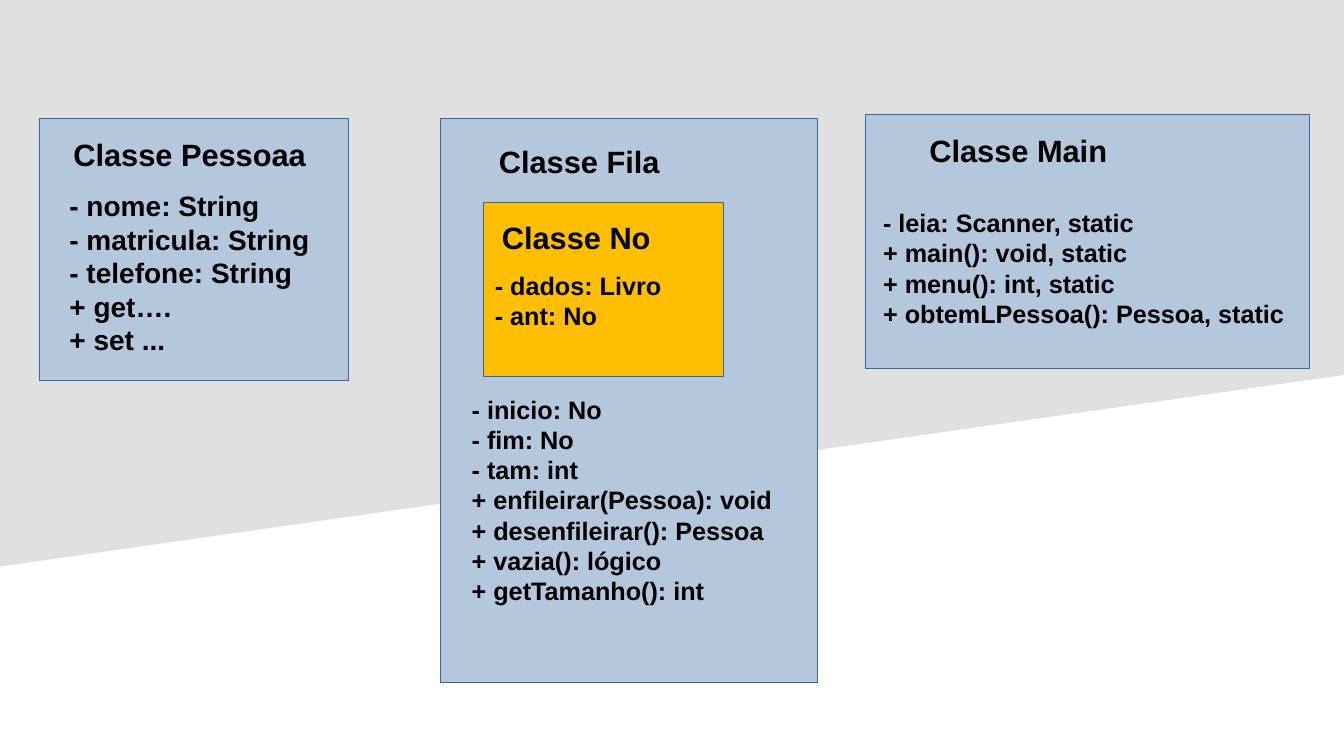
from dataclasses import dataclass

from pptx import Presentation
from pptx.dml.color import RGBColor
from pptx.enum.shapes import MSO_SHAPE as Shape
from pptx.enum.text import MSO_ANCHOR as Anchor, PP_ALIGN as Align
from pptx.shapes.shapetree import GroupShapes
from pptx.util import Inches, Pt

WIDTH, HEIGHT = 13.33, 7.5
GREY, BLUE, AMBER, BORDER, BLACK = "E0E0E0", "B4C7DC", "FFBF00", "3465A4", "000000"
TITLE_SIZE = 22

Box = tuple[float, float, float, float]  # left, top, width, height in inches


@dataclass
class ClassCard:
    title: str
    members: list[str]
    box: Box
    title_box: Box
    members_box: Box
    size: int = 18
    fill: str = BLUE
    inner: "ClassCard | None" = None


def rgb(color: str) -> RGBColor:
    return RGBColor.from_string(color)


def add_text(shapes: GroupShapes, box: Box, lines: list[str], size: int) -> None:
    tf = shapes.add_textbox(*map(Inches, box)).text_frame
    tf.word_wrap = True
    tf.vertical_anchor = Anchor.TOP
    tf.text = "\n".join(lines)
    for p in tf.paragraphs:
        p.alignment = Align.LEFT
        for r in p.runs:
            r.font.name = "Arial"
            r.font.size = Pt(size)
            r.font.bold = True
            r.font.color.rgb = rgb(BLACK)


def add_card(shapes: GroupShapes, card: ClassCard) -> None:
    sp = shapes.add_shape(Shape.RECTANGLE, *map(Inches, card.box))
    sp.shadow.inherit = False
    sp.fill.solid()
    sp.fill.fore_color.rgb = rgb(card.fill)
    sp.line.color.rgb = rgb(BORDER)
    sp.line.width = Pt(0.75)
    add_text(shapes, card.title_box, [card.title], TITLE_SIZE)
    if card.inner:
        add_card(shapes, card.inner)
    add_text(shapes, card.members_box, card.members, card.size)


node = ClassCard(
    "Classe No", ["- dados: Livro", "- ant: No"],
    (4.8, 2.01, 2.38, 1.73), (4.88, 2.12, 2, 0.44), (4.81, 2.63, 2, 0.66),
    fill=AMBER,
)
cards = [
    ClassCard(
        "Classe Pessoaa",
        ["- nome: String", "- matricula: String", "- telefone: String",
         "+ get….", "+ set ..."],
        (0.39, 1.18, 3.07, 2.6), (0.63, 1.3, 2.6, 0.44), (0.59, 1.82, 2.63, 1.65),
        size=20,
    ),
    ClassCard(
        "Classe Fila",
        ["- inicio: No", "- fim: No", "- tam: int", "+ enfileirar(Pessoa): void",
         "+ desenfileirar(): Pessoa", "+ vazia(): lógico", "+ getTamanho(): int"],
        (4.37, 1.18, 3.74, 5.59), (4.85, 1.37, 2.16, 0.44), (4.58, 3.86, 3.53, 2.32),
        inner=node,
    ),
    ClassCard(
        "Classe Main",
        ["- leia: Scanner, static", "+ main(): void, static",
         "+ menu(): int, static", "+ obtemLPessoa(): Pessoa, static"],
        (8.58, 1.14, 4.41, 2.52), (9.12, 1.26, 3.33, 0.52), (8.66, 2.01, 4.41, 0.94),
    ),
]

prs = Presentation()
prs.slide_width, prs.slide_height = Inches(WIDTH), Inches(HEIGHT)
s = prs.slides.add_slide(prs.slide_layouts[6])

# Slanted grey backdrop
outline = s.shapes.build_freeform(0, Inches(5.62))
corners = [(0, 0), (WIDTH, 0), (WIDTH, 3.72)]
outline.add_line_segments([(Inches(x), Inches(y)) for x, y in corners])
backdrop = outline.convert_to_shape()
backdrop.shadow.inherit = False
backdrop.fill.solid()
backdrop.fill.fore_color.rgb = rgb(GREY)
backdrop.line.fill.background()

# Class cards, one group each
for card in cards:
    add_card(s.shapes.add_group_shape().shapes, card)

prs.save("out.pptx")
